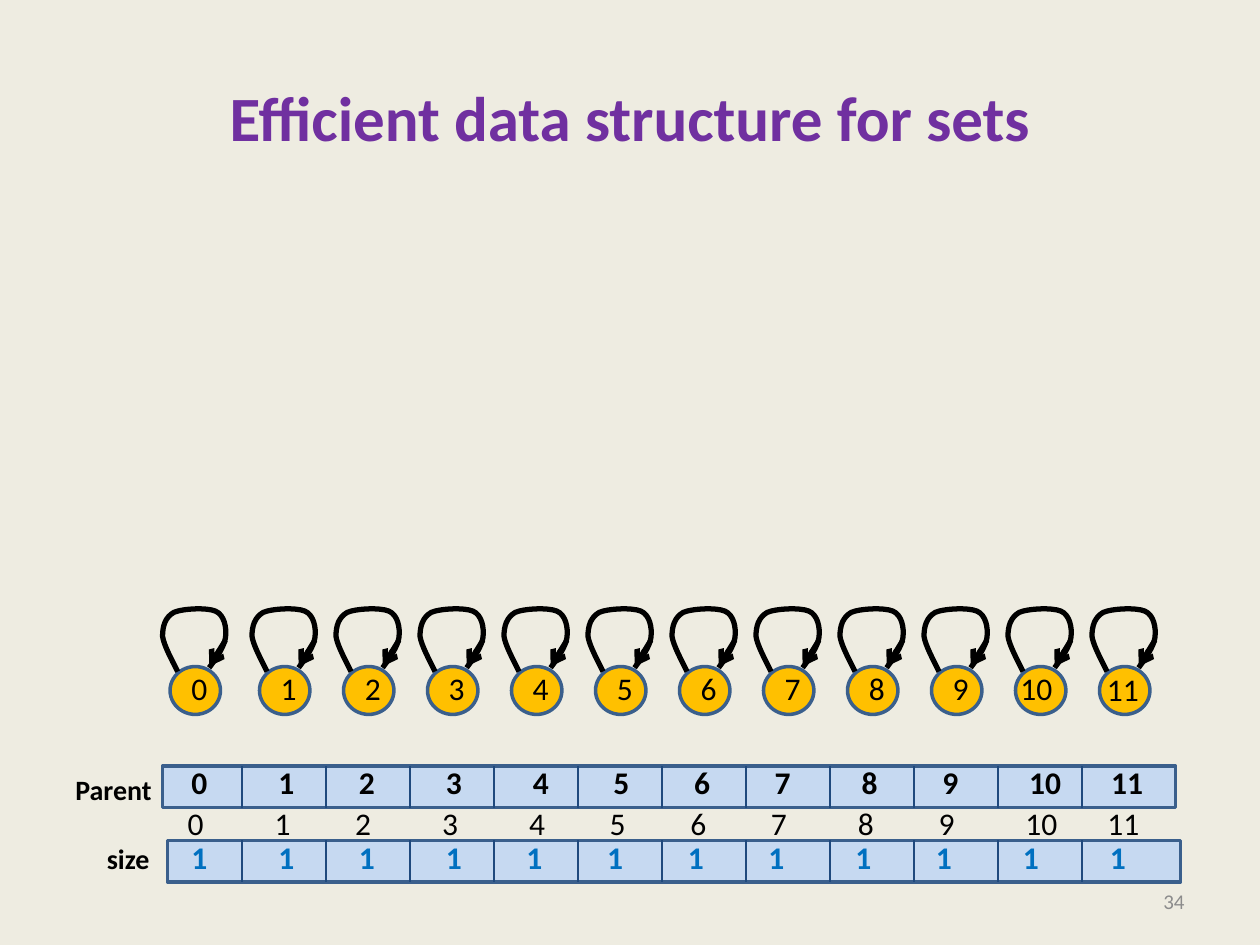
from dataclasses import dataclass
from itertools import accumulate

from lxml import etree
from pptx import Presentation
from pptx.dml.color import RGBColor
from pptx.enum.shapes import MSO_CONNECTOR, MSO_SHAPE
from pptx.enum.text import MSO_ANCHOR, PP_ALIGN
from pptx.oxml.ns import qn
from pptx.util import Inches, Pt

STRAIGHT = MSO_CONNECTOR.STRAIGHT
OVAL, RECTANGLE = MSO_SHAPE.OVAL, MSO_SHAPE.RECTANGLE
LEFT, CENTER, RIGHT = PP_ALIGN.LEFT, PP_ALIGN.CENTER, PP_ALIGN.RIGHT
TOP, MIDDLE = MSO_ANCHOR.TOP, MSO_ANCHOR.MIDDLE

FONT = "Calibri"
BLACK, OUTLINE, DIVIDER = "000000", "3A5F8C", "1F497D"
ELEMENTS = 12
PITCH = 2 / 3
ROW_WIDTH, ROW_HEIGHT = 8.04, 0.33
NODE_TOP = 5.29

# Distances between neighbouring entries in a row of numbers
WIDE, NARROW, LAST = 0.69, 0.64, 0.65
INDEX_GAPS = [WIDE, NARROW, WIDE, WIDE, NARROW, NARROW, NARROW, WIDE, NARROW, WIDE, LAST]
SIZE_GAPS = [WIDE, NARROW, WIDE, NARROW, NARROW, NARROW, NARROW, WIDE, NARROW, WIDE, WIDE]

# Start and cubic control points of the self-loop, relative to its node
LOOP = [
    (0.06, 0.04),
    (0.01, -0.06), (-0.05, -0.17), (-0.06, -0.24),
    (-0.06, -0.32), (-0.04, -0.39), (0.03, -0.43),
    (0.10, -0.46), (0.29, -0.47), (0.36, -0.44),
    (0.43, -0.41), (0.45, -0.31), (0.44, -0.23),
    (0.43, -0.16), (0.37, -0.07), (0.31, 0.01),
]


@dataclass
class ArrayRow:
    label: str
    label_left: float
    label_top: float
    label_width: float
    left: float
    top: float
    values: list[str]
    values_top: float
    gaps: list[float]
    color: str


def rgb(value: str) -> RGBColor:
    return RGBColor.from_string(value)


def add_text(shapes, text: str, left: float, top: float, width: float, height: float,
             size: float = 18, color: str = BLACK, bold: bool = False, align=LEFT,
             anchor=TOP, wrap: bool = False, stops: tuple[float, ...] = ()) -> None:
    frame = shapes.add_textbox(
        Inches(left), Inches(top), Inches(width), Inches(height)).text_frame
    frame.word_wrap = wrap
    frame.vertical_anchor = anchor
    paragraph = frame.paragraphs[0]
    paragraph.text = text
    paragraph.alignment = align
    if stops:
        tabs = etree.SubElement(paragraph._p.get_or_add_pPr(), qn("a:tabLst"))
        for stop in stops:
            etree.SubElement(tabs, qn("a:tab"), pos=str(Inches(stop)), algn="l")
    font = paragraph.font
    font.name, font.size, font.bold = FONT, Pt(size), bold
    font.color.rgb = rgb(color)


def add_numbers(shapes, values: list[str], gaps: list[float], left: float, top: float,
                color: str = BLACK, bold: bool = False) -> None:
    """Set a row of numbers on tab stops."""
    add_text(shapes, "\t".join(values), left, top, 7.89, 0.4, color=color, bold=bold,
             wrap=True, stops=tuple(accumulate(gaps)))


def add_filled(shapes, kind, left: float, top: float, width: float, height: float,
               fill: str) -> None:
    shape = shapes.add_shape(kind, Inches(left), Inches(top), Inches(width), Inches(height))
    shape.shadow.inherit = False
    shape.fill.solid()
    shape.fill.fore_color.rgb = rgb(fill)
    shape.line.color.rgb = rgb(OUTLINE)
    shape.line.width = Pt(2)


def add_line(shapes, start: tuple[float, float], end: tuple[float, float],
             color: str, width: float, arrow: bool = False) -> None:
    line = shapes.add_connector(STRAIGHT, *map(Inches, start + end))
    line.line.color.rgb = rgb(color)
    line.line.width = Pt(width)
    properties = line._element.spPr
    if arrow:
        etree.SubElement(properties.find(qn("a:ln")), qn("a:tailEnd"), type="arrow")
    etree.SubElement(properties, qn("a:effectLst"))


def add_loop(shapes, left: float, top: float) -> None:
    """Draw the open curve that leads from a node back to itself."""
    points = [(Inches(left + x), Inches(top + y)) for x, y in LOOP]
    builder = shapes.build_freeform(*points[0])
    builder.add_line_segments(points[1:], close=False)
    loop = builder.convert_to_shape()
    path = loop._element.spPr.find(".//" + qn("a:path"))
    segments = path.findall(qn("a:lnTo"))
    for first in range(0, len(segments), 3):
        curve = etree.SubElement(path, qn("a:cubicBezTo"))
        for segment in segments[first:first + 3]:
            curve.append(segment[0])
            path.remove(segment)
    loop.shadow.inherit = False
    loop.fill.background()
    loop.line.color.rgb = rgb(BLACK)
    loop.line.width = Pt(3)


def add_node(shapes, index: int) -> None:
    left = 2.06 + (index - 1) * PITCH if index else 1.35
    node = shapes.add_group_shape().shapes
    add_filled(node, OVAL, left, NODE_TOP, 0.4, 0.38, "FFC000")
    add_loop(node, left, NODE_TOP)
    add_line(node, (left + 0.44, 5.08), (left + 0.31, NODE_TOP), BLACK, 3, arrow=True)
    shift, top = {10: (-0.06, 5.26), 11: (-0.04, 5.27)}.get(index, (0.07, 5.26))
    add_text(node, str(index), left + shift, top, 0.46 if index > 9 else 0.33, 0.4)


def add_array(shapes, row: ArrayRow) -> None:
    array = shapes.add_group_shape().shapes
    add_filled(array, RECTANGLE, row.left, row.top, ROW_WIDTH, ROW_HEIGHT, "C6D9F1")
    for column in range(ELEMENTS - 1):
        x = 1.92 + column * PITCH
        add_line(array, (x, row.top), (x, row.top + ROW_HEIGHT), DIVIDER, 1.5)
    add_text(array, row.label, row.label_left, row.label_top, row.label_width, 0.37,
             size=16, bold=True)
    add_numbers(array, row.values, row.gaps, 1.42, row.values_top, row.color, bold=True)


def main() -> None:
    prs = Presentation()
    prs.slide_width, prs.slide_height = Inches(10), Inches(7.5)
    slide = prs.slides.add_slide(prs.slide_layouts[6])
    slide.background.fill.solid()
    slide.background.fill.fore_color.rgb = rgb("EEECE1")
    shapes = slide.shapes

    add_text(shapes, "Efficient data structure for sets", 0.5, 0.3, 9, 1.25, size=36,
             color="7030A0", bold=True, align=CENTER, anchor=MIDDLE, wrap=True)
    add_text(shapes, "34", 7.17, 6.95, 2.33, 0.4, size=12, color="8C8C8C",
             align=RIGHT, anchor=MIDDLE, wrap=True)

    indices = [str(index) for index in range(ELEMENTS)]
    add_numbers(shapes, indices, INDEX_GAPS, 1.39, 6.33)
    for index in range(ELEMENTS):
        add_node(shapes, index)

    arrays = [
        ArrayRow("size", 0.75, 6.63, 0.54, 1.33, 6.67, ["1"] * ELEMENTS, 6.6,
                 SIZE_GAPS, "0070C0"),
        ArrayRow("Parent", 0.5, 6.08, 0.81, 1.29, 6.08, indices, 6.01,
                 INDEX_GAPS, BLACK),
    ]
    for row in arrays:
        add_array(shapes, row)

    prs.save("out.pptx")


if __name__ == "__main__":
    main()
